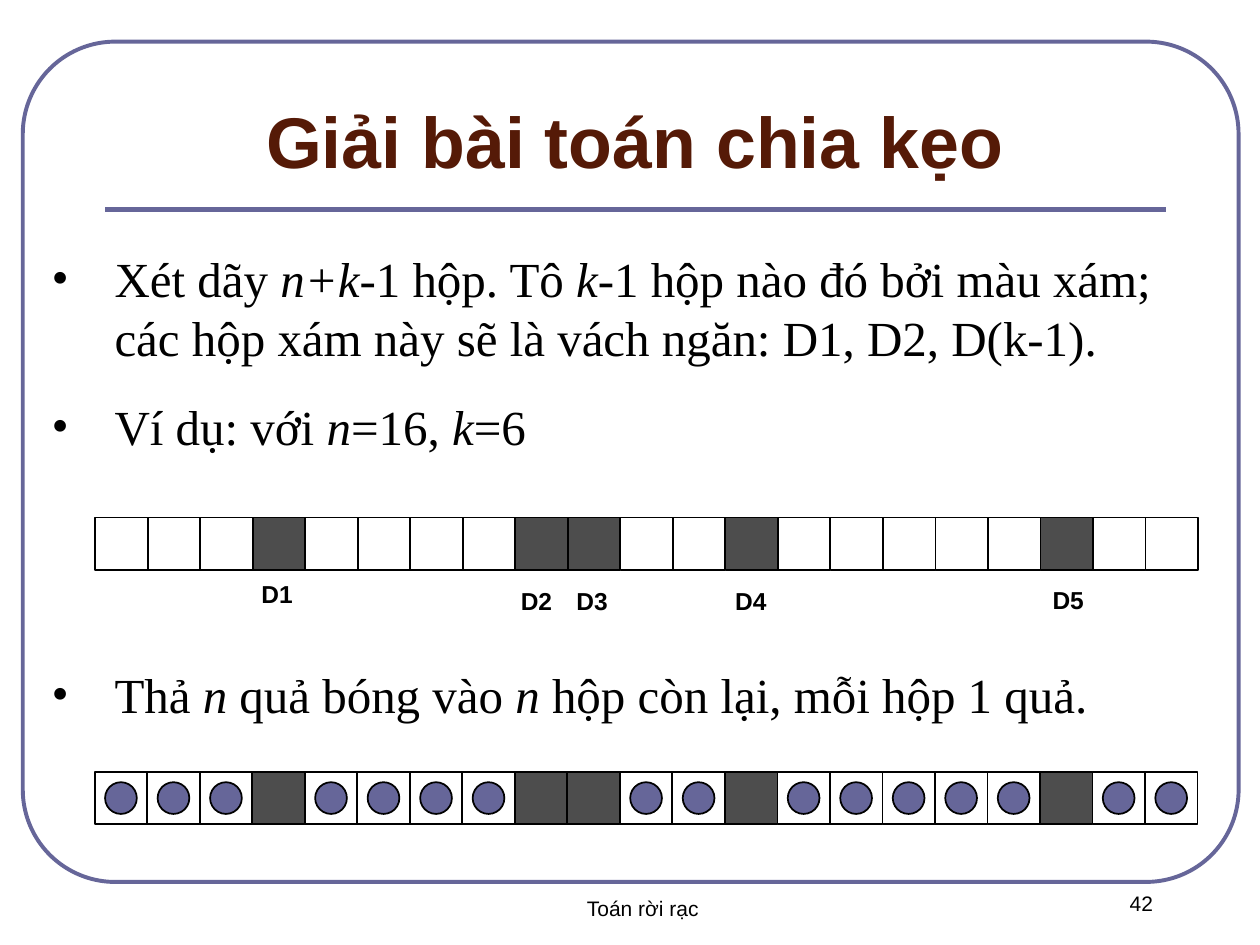
from dataclasses import dataclass

from lxml.etree import SubElement
from pptx import Presentation
from pptx.dml.color import RGBColor
from pptx.enum.shapes import MSO_CONNECTOR, MSO_SHAPE
from pptx.enum.text import MSO_ANCHOR, PP_ALIGN
from pptx.oxml.ns import qn
from pptx.util import Cm, Pt


@dataclass(frozen=True)
class Theme:
    accent: RGBColor = RGBColor(0x66, 0x66, 0x99)
    title: RGBColor = RGBColor(0x55, 0x1A, 0x07)
    text: RGBColor = RGBColor(0, 0, 0)
    box: RGBColor = RGBColor(0xFF, 0xFF, 0xFF)
    divider: RGBColor = RGBColor(0x4D, 0x4D, 0x4D)
    sans: str = "Arial"
    serif: str = "Times New Roman"
    title_size: float = 41
    body_size: float = 28
    label_size: float = 14
    footer_size: float = 12


@dataclass(frozen=True)
class Bullet:
    phrases: tuple[str, ...]  # upright and italic phrases take turns
    before: float = 0


@dataclass(frozen=True)
class BoxRow:
    left: float
    top: float
    balls: bool = False


@dataclass(frozen=True)
class Label:
    text: str
    left: float
    top: float


T = Theme()
BOXES = 21
DIVIDERS = {3, 8, 9, 12, 18}
ROW_WIDTH = 22.23
BALL = 0.64

BULLETS = [
    Bullet(("Xét dãy ", "n+k", "-1 hộp. Tô ", "k",
            "-1 hộp nào đó bởi màu xám; các hộp xám này sẽ là vách ngăn: "
            "D1, D2, D(k-1).")),
    Bullet(("Ví dụ: với ", "n", "=16, ", "k", "=6"), 17.5),
    Bullet(("Thả ", "n", " quả bóng vào ", "n", " hộp còn lại, mỗi hộp 1 quả."), 119.5),
]
ROWS = [BoxRow(1.92, 10.43), BoxRow(1.91, 15.56, balls=True)]
LABELS = [
    Label("D1", 5.18, 11.68),
    Label("D2", 10.41, 11.82),
    Label("D3", 11.53, 11.82),
    Label("D4", 14.73, 11.82),
    Label("D5", 21.13, 11.79),
]


def style_run(r, size: float, name: str, color: RGBColor,
              bold: bool = False, italic: bool = False) -> None:
    r.font.size, r.font.name = Pt(size), name
    r.font.bold, r.font.italic = bold, italic
    r.font.color.rgb = color


def add_frame(s, left: float, top: float, width: float, height: float):
    tf = s.shapes.add_textbox(Cm(left), Cm(top), Cm(width), Cm(height)).text_frame
    tf.word_wrap = True
    return tf


def add_line_of_text(s, text: str, left: float, top: float, width: float,
                     height: float, size: float, color: RGBColor = T.text,
                     bold: bool = False):
    tf = add_frame(s, left, top, width, height)
    tf.text = text
    p = tf.paragraphs[0]
    p.alignment = PP_ALIGN.CENTER
    style_run(p.runs[0], size, T.sans, color, bold)
    return tf


def add_bullet(p, bullet: Bullet) -> None:
    pPr = p._p.get_or_add_pPr()
    pPr.set("marL", str(Cm(1.27)))
    pPr.set("indent", str(-Cm(1.27)))
    color = SubElement(pPr, qn("a:buClr"))
    SubElement(color, qn("a:srgbClr"), val=str(T.text))
    SubElement(pPr, qn("a:buFont"), typeface=T.serif)
    SubElement(pPr, qn("a:buChar"), char="•")
    p.space_before = Pt(bullet.before)
    for i, phrase in enumerate(bullet.phrases):
        r = p.add_run()
        r.text = phrase
        style_run(r, T.body_size, T.serif, T.text, italic=i % 2 == 1)


def add_outlined(shapes, kind: MSO_SHAPE, left: int, top: int, size: int,
                 fill: RGBColor) -> None:
    sp = shapes.add_shape(kind, left, top, size, size)
    sp.shadow.inherit = False
    sp.fill.solid()
    sp.fill.fore_color.rgb = fill
    sp.line.color.rgb = T.text
    sp.line.width = Pt(1)


def add_box_row(s, row: BoxRow) -> None:
    shapes = s.shapes.add_group_shape().shapes
    side = Cm(ROW_WIDTH / BOXES)
    inset = (side - Cm(BALL)) // 2
    top = Cm(row.top)
    for i in range(BOXES):
        left = Cm(row.left) + i * side
        fill = T.divider if i in DIVIDERS else T.box
        add_outlined(shapes, MSO_SHAPE.RECTANGLE, left, top, side, fill)
        if row.balls and i not in DIVIDERS:
            add_outlined(shapes, MSO_SHAPE.OVAL, left + inset, top + inset,
                         Cm(BALL), T.accent)


def main() -> None:
    prs = Presentation()
    prs.slide_width, prs.slide_height = Cm(25.4), Cm(19.05)
    s = prs.slides.add_slide(prs.slide_layouts[6])

    # Rounded frame and title rule
    frame = s.shapes.add_shape(MSO_SHAPE.ROUNDED_RECTANGLE,
                               Cm(0.46), Cm(0.84), Cm(24.51), Cm(16.94))
    frame.adjustments[0] = 0.11
    frame.shadow.inherit = False
    frame.fill.background()
    frame.line.color.rgb = T.accent
    frame.line.width = Pt(2.25)

    rule = s.shapes.add_connector(MSO_CONNECTOR.STRAIGHT,
                                  Cm(2.12), Cm(4.23), Cm(23.5), Cm(4.23))
    rule.line.color.rgb = T.accent
    rule.line.width = Pt(3)
    SubElement(rule._element.spPr, qn("a:effectLst"))

    # Footer and page number
    add_line_of_text(s, "42", 21.41, 17.83, 3.2, 1.27, T.footer_size)
    add_line_of_text(s, "Toán rời rạc", 6.65, 17.93, 12.62, 1.27, T.footer_size)

    # Title
    tf = add_line_of_text(s, "Giải bài toán chia kẹo", 2.12, 1.06, 21.38, 2.75,
                          T.title_size, T.title, bold=True)
    tf.vertical_anchor = MSO_ANCHOR.BOTTOM

    # Body, leaving room for the first row of boxes
    tf = add_frame(s, 0.79, 4.88, 23.95, 9.86)
    for i, bullet in enumerate(BULLETS):
        add_bullet(tf.add_paragraph() if i else tf.paragraphs[0], bullet)

    # Rows of boxes and divider labels
    for row in ROWS:
        add_box_row(s, row)
    for label in LABELS:
        tf = add_line_of_text(s, label.text, label.left, label.top, 0.81, 0.58,
                              T.label_size, bold=True)
        tf.margin_left = tf.margin_right = Cm(0.03)
        tf.margin_top = tf.margin_bottom = 0

    prs.save("out.pptx")


if __name__ == "__main__":
    main()
